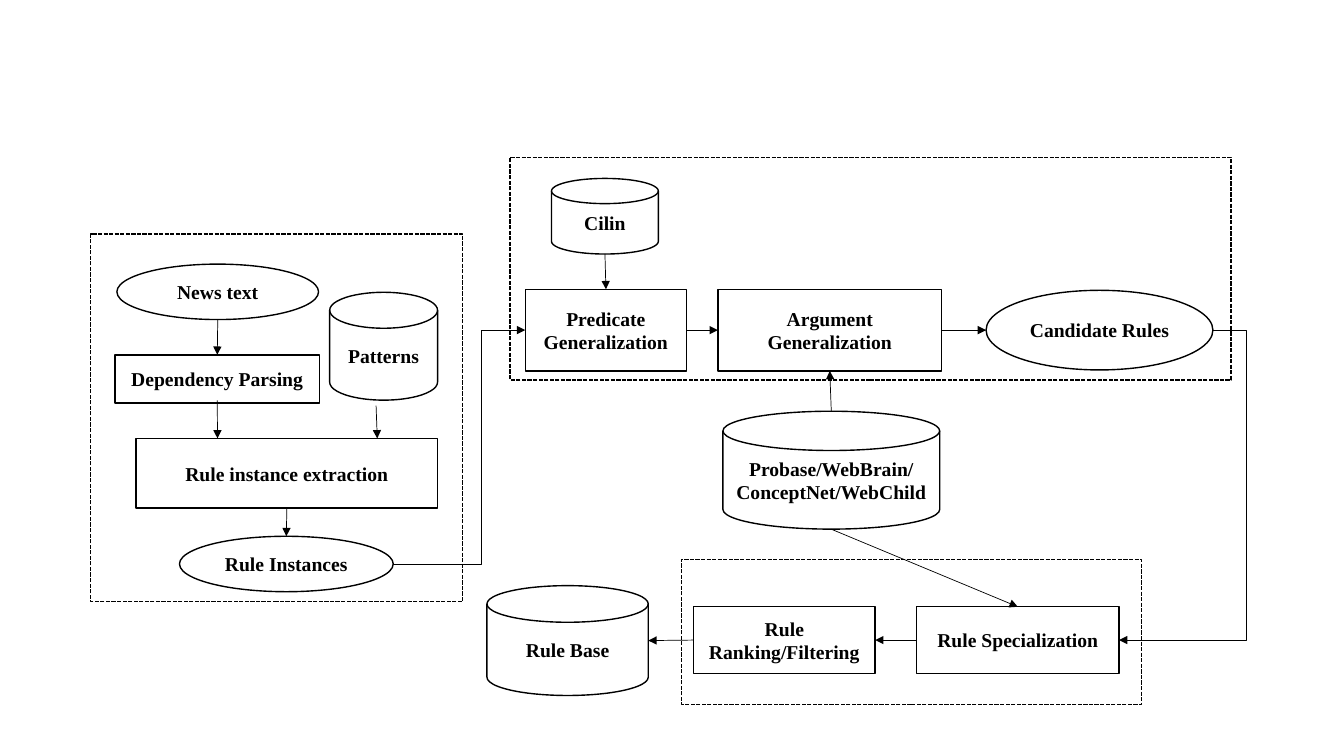
from dataclasses import dataclass

from lxml import etree
from pptx import Presentation
from pptx.dml.color import RGBColor
from pptx.enum.dml import MSO_LINE
from pptx.enum.shapes import MSO_CONNECTOR, MSO_SHAPE
from pptx.enum.text import MSO_ANCHOR, PP_ALIGN
from pptx.oxml.ns import qn
from pptx.util import Inches, Pt

STEP = MSO_SHAPE.RECTANGLE
DATA = MSO_SHAPE.OVAL
STORE = MSO_SHAPE.FLOWCHART_MAGNETIC_DISK
STRAIGHT = MSO_CONNECTOR.STRAIGHT
ELBOW = MSO_CONNECTOR.ELBOW
DASHED = MSO_LINE.SQUARE_DOT
MIDDLE = MSO_ANCHOR.MIDDLE
CENTER = PP_ALIGN.CENTER


@dataclass(frozen=True)
class Theme:
    ink: RGBColor = RGBColor(0, 0, 0)
    paper: RGBColor = RGBColor(255, 255, 255)
    font: str = "Times New Roman"
    text_size: Pt = Pt(14)
    outline: Pt = Pt(1)
    arrow: Pt = Pt(0.5)


THEME = Theme()

# Left, top, width, height in inches
STAGES = [
    (0.9, 2.32, 3.69, 3.65),
    (5.06, 1.56, 7.15, 2.21),
    (6.76, 5.55, 4.56, 1.44),
]

NODES = {
    "news": (DATA, "News text", (1.16, 2.62, 2, 0.55)),
    "parsing": (STEP, "Dependency Parsing", (1.14, 3.52, 2.03, 0.48)),
    "patterns": (STORE, "Patterns", (3.27, 2.9, 1.07, 1.07)),
    "extraction": (STEP, "Rule instance extraction", (1.35, 4.35, 2.99, 0.69)),
    "instances": (DATA, "Rule Instances", (1.78, 5.32, 2.12, 0.55)),
    "cilin": (STORE, "Cilin", (5.47, 1.77, 1.06, 0.75)),
    "predicate": (STEP, "Predicate Generalization", (5.21, 2.87, 1.6, 0.81)),
    "argument": (STEP, "Argument Generalization", (7.12, 2.87, 2.22, 0.81)),
    "candidates": (DATA, "Candidate Rules", (9.78, 2.88, 2.25, 0.79)),
    "knowledge": (STORE, "Probase/WebBrain/\nConceptNet/WebChild",
                  (7.17, 4.08, 2.15, 1.17)),
    "specialization": (STEP, "Rule Specialization", (9.09, 6.02, 2.01, 0.66)),
    "ranking": (STEP, "Rule Ranking/Filtering", (6.88, 6.02, 1.8, 0.66)),
    "base": (STORE, "Rule Base", (4.83, 5.81, 1.6, 1.09)),
}

# Attachment points as fractions of a node's width and height
TOP, BOTTOM, LEFT, RIGHT = (0.5, 0), (0.5, 1), (0, 0.5), (1, 0.5)

# Source, its point, target, its point, bend position of an elbow
ARROWS = [
    ("news", BOTTOM, "parsing", TOP, None),
    ("parsing", (0.5, 0.94), "extraction", (0.27, 0), None),
    ("patterns", (0.43, 1.05), "extraction", (0.8, 0), None),
    ("extraction", BOTTOM, "instances", TOP, None),
    ("instances", RIGHT, "predicate", LEFT, 0.67),
    ("cilin", BOTTOM, "predicate", TOP, None),
    ("predicate", RIGHT, "argument", LEFT, None),
    ("argument", RIGHT, "candidates", LEFT, None),
    ("knowledge", TOP, "argument", BOTTOM, None),
    ("knowledge", BOTTOM, "specialization", TOP, None),
    ("candidates", RIGHT, "specialization", RIGHT, -0.36),
    ("specialization", LEFT, "ranking", RIGHT, None),
    ("ranking", LEFT, "base", RIGHT, None),
]


def add_outlined(page, kind, bounds):
    shape = page.shapes.add_shape(kind, *map(Inches, bounds))
    shape.shadow.inherit = False
    shape.line.color.rgb = THEME.ink
    shape.line.width = THEME.outline
    return shape


def add_stage(page, bounds):
    stage = add_outlined(page, STEP, bounds)
    stage.fill.background()
    stage.line.dash_style = DASHED


def add_node(page, kind, label, bounds):
    node = add_outlined(page, kind, bounds)
    node.fill.solid()
    node.fill.fore_color.rgb = THEME.paper
    frame = node.text_frame
    frame.text = label
    frame.word_wrap = True
    frame.vertical_anchor = MIDDLE
    if kind == DATA:
        frame.margin_left = frame.margin_right = 0
    for para in frame.paragraphs:
        para.alignment = CENTER
        for span in para.runs:
            span.font.name = THEME.font
            span.font.size = THEME.text_size
            span.font.bold = True
            span.font.color.rgb = THEME.ink


def locate(name, point):
    """Return the slide position of an attachment point on a node."""
    left, top, width, height = NODES[name][2]
    return Inches(left + width * point[0]), Inches(top + height * point[1])


def add_arrow(page, source, start, target, end, bend):
    kind = STRAIGHT if bend is None else ELBOW
    arrow = page.shapes.add_connector(
        kind, *locate(source, start), *locate(target, end))
    arrow.line.color.rgb = THEME.ink
    arrow.line.width = THEME.arrow
    properties = arrow._element.spPr
    etree.SubElement(arrow.line._get_or_add_ln(), qn("a:tailEnd"), type="triangle")
    etree.SubElement(properties, qn("a:effectLst"))
    if bend is not None:
        guides = properties.find(qn("a:prstGeom")).get_or_add_avLst()
        etree.SubElement(guides, qn("a:gd"), name="adj1",
                         fmla=f"val {round(bend * 100000)}")


def main():
    deck = Presentation()
    deck.slide_width, deck.slide_height = Inches(13.33), Inches(7.5)
    page = deck.slides.add_slide(deck.slide_layouts[6])
    for bounds in STAGES:
        add_stage(page, bounds)
    for node in NODES.values():
        add_node(page, *node)
    for arrow in ARROWS:
        add_arrow(page, *arrow)
    deck.save("out.pptx")


if __name__ == "__main__":
    main()
